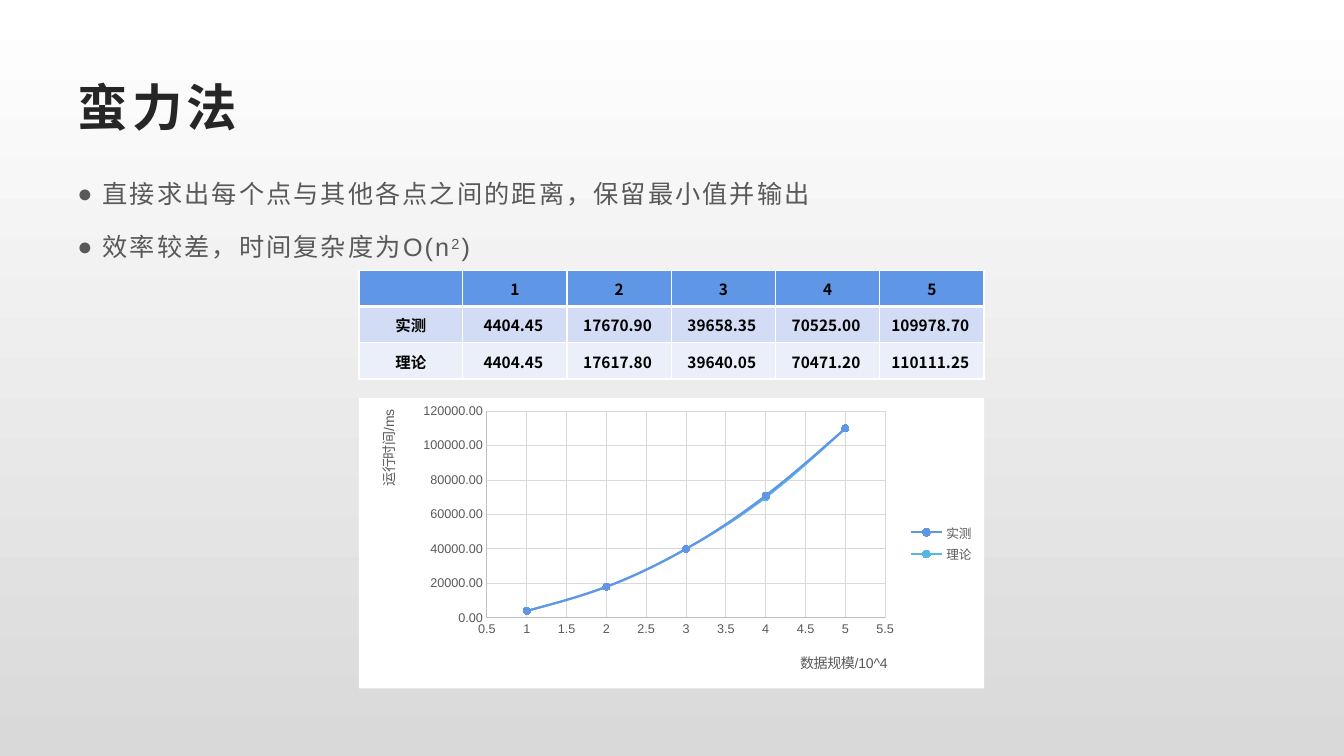
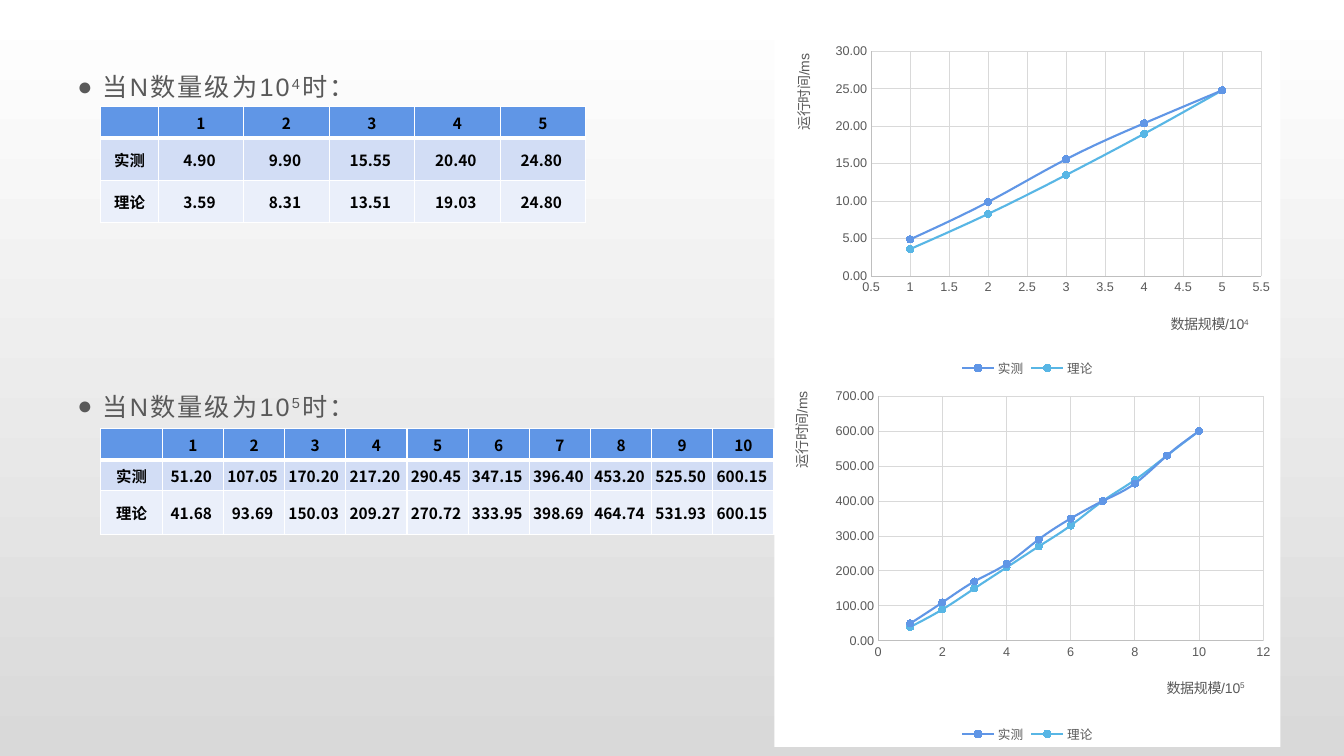
from lxml.etree import SubElement
from pptx import Presentation
from pptx.chart.data import XyChartData
from pptx.dml.color import RGBColor
from pptx.enum.chart import XL_CHART_TYPE as ChartType
from pptx.enum.chart import XL_LEGEND_POSITION as LegendPosition
from pptx.enum.chart import XL_MARKER_STYLE as MarkerStyle
from pptx.enum.chart import XL_TICK_MARK as TickMark
from pptx.enum.text import MSO_ANCHOR as Anchor
from pptx.enum.text import PP_ALIGN as Align
from pptx.oxml import parse_xml
from pptx.oxml.ns import nsdecls, qn
from pptx.util import Inches, Pt

LATIN_FONT = "Arial"
CJK_FONT = "Noto Sans CJK SC"
WHITE, BLACK = "FFFFFF", "000000"
BACKGROUND_END = "D9D9D9"
TITLE_COLOR, TEXT_COLOR = "262626", "595959"
AXIS_COLOR, GRID_COLOR = "BFBFBF", "D9D9D9"
HEADER_FILL = "6096E6"
ROW_FILLS = ("D2DDF5", "EAEFFA")
SERIES_COLORS = (HEADER_FILL, "58B6E5")

BRUTE_FORCE = {
    "实测": (4404.45, 17670.90, 39658.35, 70525.00, 109978.70),
    "理论": (4404.45, 17617.80, 39640.05, 70471.20, 110111.25),
}
SCALE_10_4 = {
    "实测": (4.90, 9.90, 15.55, 20.40, 24.80),
    "理论": (3.59, 8.31, 13.51, 19.03, 24.80),
}
SCALE_10_5 = {
    "实测": (51.20, 107.05, 170.20, 217.20, 290.45,
           347.15, 396.40, 453.20, 525.50, 600.15),
    "理论": (41.68, 93.69, 150.03, 209.27, 270.72,
           333.95, 398.69, 464.74, 531.93, 600.15),
}


def rgb(color):
    """Return the colour for a hex string."""
    return RGBColor.from_string(color)


def style_font(font, size, color, bold=False, name=LATIN_FONT, spacing=0):
    """Set size, colour, weight, typefaces and letter spacing of a font."""
    font.size, font.bold, font.name = Pt(size), bold, name
    font.color.rgb = rgb(color)
    SubElement(font._element, qn("a:ea")).set("typeface", CJK_FONT)
    if spacing:
        font._element.set("spc", str(int(spacing * 100)))


def add_runs(paragraph, parts):
    """Write the parts as runs, with every second one superscript."""
    for index, part in enumerate(parts):
        run = paragraph.add_run()
        run.text = part
        if index % 2:
            run.font._element.set("baseline", "30000")


def set_background(master):
    """Give the master the vertical grey gradient."""
    fill = master.background.fill
    fill.gradient()
    fill.gradient_angle = 270
    for stop, color in zip(fill.gradient_stops, (WHITE, BACKGROUND_END)):
        stop.color.rgb = rgb(color)


def set_title(slide, text):
    """Place and format the slide title."""
    title = slide.shapes.title
    title.left, title.top = Inches(0.67), Inches(0.67)
    title.width, title.height = Inches(12), Inches(0.77)
    title.text_frame.text = text
    title.text_frame.vertical_anchor = Anchor.MIDDLE
    paragraph = title.text_frame.paragraphs[0]
    paragraph.alignment = Align.LEFT
    style_font(paragraph.font, 36, TITLE_COLOR, bold=True, spacing=3)


def add_bullets(slide, top, items):
    """Add a bulleted text box, one paragraph per item."""
    box = slide.shapes.add_textbox(
        Inches(0.67), Inches(top), Inches(12), Inches(0.55 * len(items)))
    frame = box.text_frame
    frame.word_wrap = True
    for index, parts in enumerate(items):
        paragraph = frame.add_paragraph() if index else frame.paragraphs[0]
        properties = paragraph._p.get_or_add_pPr()
        properties.set("marL", str(Inches(0.25)))
        properties.set("indent", str(-Inches(0.25)))
        SubElement(properties, qn("a:buFont")).set("typeface", LATIN_FONT)
        SubElement(properties, qn("a:buChar")).set("char", "●")
        paragraph.line_spacing = 1.3
        paragraph.space_after = Pt(10)
        add_runs(paragraph, parts)
        style_font(paragraph.font, 18, TEXT_COLOR, spacing=1.5)


def set_borders(cell, widths):
    """Draw white cell borders from a mapping of side to width."""
    properties = cell._tc.get_or_add_tcPr()
    for side, width in widths.items():
        line = SubElement(properties, qn(f"a:ln{side}"), w=str(Pt(width)))
        fill = SubElement(line, qn("a:solidFill"))
        SubElement(fill, qn("a:srgbClr")).set("val", WHITE)


def fill_cell(cell, text, color, borders):
    """Write and format one table cell, with more room after a decimal."""
    set_borders(cell, borders)
    cell.fill.solid()
    cell.fill.fore_color.rgb = rgb(color)
    cell.vertical_anchor = Anchor.MIDDLE
    cell.margin_left = cell.margin_top = Inches(0.01)
    cell.margin_right = Inches(0.04 if "." in text else 0.01)
    cell.margin_bottom = 0
    paragraph = cell.text_frame.paragraphs[0]
    paragraph.alignment = Align.CENTER
    add_runs(paragraph, [text])
    style_font(paragraph.font, 11, BLACK, bold=True, name=CJK_FONT)


def add_data_table(slide, left, top, width, name_width, heights, data):
    """Add a table with equal numbered columns and one row per series."""
    count = len(next(iter(data.values())))
    rows = [["", *(str(number) for number in range(1, count + 1))]]
    rows += [[name, *(f"{value:.2f}" for value in values)]
             for name, values in data.items()]
    column_widths = [name_width] + [(width - name_width) / count] * count
    table = slide.shapes.add_table(
        len(rows), count + 1, Inches(left), Inches(top),
        Inches(width), Inches(sum(heights))).table
    table.horz_banding = False
    for column, column_width in zip(table.columns, column_widths):
        column.width = Inches(column_width)
    header_borders = {"L": 1, "R": 1, "T": 1, "B": 3}
    body_borders = {"L": 1, "R": 1, "B": 1}
    for index, (row, height) in enumerate(zip(table.rows, heights)):
        row.height = Inches(height)
        color = ROW_FILLS[index - 1] if index else HEADER_FILL
        borders = body_borders if index else header_borders
        for cell, text in zip(row.cells, rows[index]):
            fill_cell(cell, text, color, borders)


def set_layout(element, chart_box, left, top, size=None):
    """Fix a chart part at slide inches within the chart's box."""
    chart_left, chart_top, chart_width, chart_height = chart_box
    for old_layout in element.findall(qn("c:layout")):
        element.remove(old_layout)
    layout = parse_xml(f"<c:layout {nsdecls('c')}/>")
    element.insert(len(element.findall(qn("c:tx"))), layout)
    manual = SubElement(layout, qn("c:manualLayout"))
    settings = {"xMode": "edge", "yMode": "edge",
                "x": (left - chart_left) / chart_width,
                "y": (top - chart_top) / chart_height}
    if size:
        settings = {"layoutTarget": "inner", **settings,
                    "w": size[0] / chart_width, "h": size[1] / chart_height}
    for name, value in settings.items():
        SubElement(manual, qn(f"c:{name}")).set("val", str(value))


def format_axis(axis, scale, number_format, title_parts, chart_box, title_at):
    """Set scale, lines, labels and the placed title of an axis."""
    axis.minimum_scale, axis.maximum_scale, axis.major_unit = scale
    axis.major_tick_mark = axis.minor_tick_mark = TickMark.NONE
    axis.has_major_gridlines = True
    for line, color in ((axis.format.line, AXIS_COLOR),
                        (axis.major_gridlines.format.line, GRID_COLOR)):
        line.color.rgb = rgb(color)
        line.width = Pt(0.75)
    axis.tick_labels.number_format = number_format
    axis.tick_labels.number_format_is_linked = False
    style_font(axis.tick_labels.font, 9, TEXT_COLOR)
    paragraph = axis.axis_title.text_frame.paragraphs[0]
    add_runs(paragraph, title_parts)
    style_font(paragraph.font, 10, TEXT_COLOR)
    set_layout(axis.axis_title._element, chart_box, *title_at)


def format_series(series, color):
    """Draw a series as a smooth line with round markers."""
    series._element.get_or_add_smooth().val = True
    series.format.line.color.rgb = rgb(color)
    series.format.line.width = Pt(1.5)
    series.marker.style = MarkerStyle.CIRCLE
    series.marker.size = 5
    series.marker.format.fill.solid()
    series.marker.format.fill.fore_color.rgb = rgb(color)
    series.marker.format.line.color.rgb = rgb(color)


def fill_chart_area(chart):
    """Paint the chart area white without an outline."""
    chart._chartSpace.find(qn("c:chart")).addnext(parse_xml(
        f"<c:spPr {nsdecls('c', 'a')}><a:solidFill><a:srgbClr val='{WHITE}'/>"
        "</a:solidFill><a:ln><a:noFill/></a:ln></c:spPr>"))


def add_timing_chart(slide, box, data, digits, plot, x_scale, y_scale, x_title,
                     x_title_at, y_title_at, legend=LegendPosition.BOTTOM):
    """Add a smooth scatter chart of rounded running time by data size."""
    chart_data = XyChartData()
    for name, values in data.items():
        series = chart_data.add_series(name)
        for x, y in enumerate(values, 1):
            series.add_data_point(x, round(y, digits))
    chart = slide.shapes.add_chart(
        ChartType.XY_SCATTER_SMOOTH, *map(Inches, box), chart_data).chart
    chart.has_title = False
    style_font(chart.font, 10, BLACK)
    fill_chart_area(chart)
    chart.plots[0].vary_by_categories = False
    for series, color in zip(chart.plots[0].series, SERIES_COLORS):
        format_series(series, color)
    format_axis(chart.category_axis, x_scale, "General", x_title, box,
                x_title_at)
    format_axis(chart.value_axis, y_scale, "0.00", ["运行时间/ms"], box,
                y_title_at)
    body = chart.value_axis.axis_title.text_frame._txBody.bodyPr
    body.set("rot", "-5400000")
    body.set("vert", "horz")
    chart.has_legend = True
    chart.legend.position = legend
    chart.legend.include_in_layout = False
    style_font(chart.legend.font, 9, TEXT_COLOR)
    plot_area = chart._chartSpace.chart.plotArea
    set_layout(plot_area, box, *plot[:2], size=plot[2:])


def build_brute_force_slide(presentation):
    """Build the slide on the brute-force method."""
    slide = presentation.slides.add_slide(presentation.slide_layouts[5])
    set_title(slide, "蛮力法")
    add_bullets(slide, 1.63, [
        ["直接求出每个点与其他各点之间的距离，保留最小值并输出"],
        ["效率较差，时间复杂度为O(n", "2", ")"],
    ])
    add_data_table(slide, 3.56, 2.68, 6.2, 1.03, (0.36,) * 3, BRUTE_FORCE)
    add_timing_chart(
        slide, (3.56, 3.95, 6.2, 2.88), BRUTE_FORCE, -3,
        (4.83, 4.08, 3.95, 2.05),
        (0.5, 5.5, 0.5), (0, 120000, 20000), ["数据规模/10^4"],
        (7.91, 6.43), (3.71, 4.04), LegendPosition.RIGHT)


def build_scale_slide(presentation):
    """Build the slide comparing two orders of magnitude."""
    slide = presentation.slides.add_slide(presentation.slide_layouts[6])
    for top, exponent in ((0.57, "4"), (3.74, "5")):
        add_bullets(slide, top, [["当N数量级为10", exponent, "时："]])
    add_data_table(slide, 1, 1.06, 4.81, 0.57, (0.31, 0.42, 0.42), SCALE_10_4)
    add_data_table(slide, 1, 4.25, 6.68, 0.61, (0.31, 0.31, 0.43), SCALE_10_5)
    add_timing_chart(
        slide, (7.68, 0.37, 5.02, 3.41), SCALE_10_4, 1,
        (8.64, 0.51, 3.87, 2.23),
        (0.5, 5.5, 0.5), (0, 30, 5), ["数据规模/10", "4"],
        (11.58, 3.06), (7.83, 0.51))
    add_timing_chart(
        slide, (7.68, 3.78, 5.02, 3.63), SCALE_10_5, -1,
        (8.71, 3.93, 3.82, 2.43),
        (0, 12, 2), (0, 700, 100), ["数据规模/10", "5"],
        (11.54, 6.67), (7.81, 3.86))


def main():
    """Build and save the presentation."""
    presentation = Presentation()
    presentation.slide_width = Inches(13.33)
    presentation.slide_height = Inches(7.5)
    set_background(presentation.slide_master)
    build_brute_force_slide(presentation)
    build_scale_slide(presentation)
    presentation.save("out.pptx")


if __name__ == "__main__":
    main()
